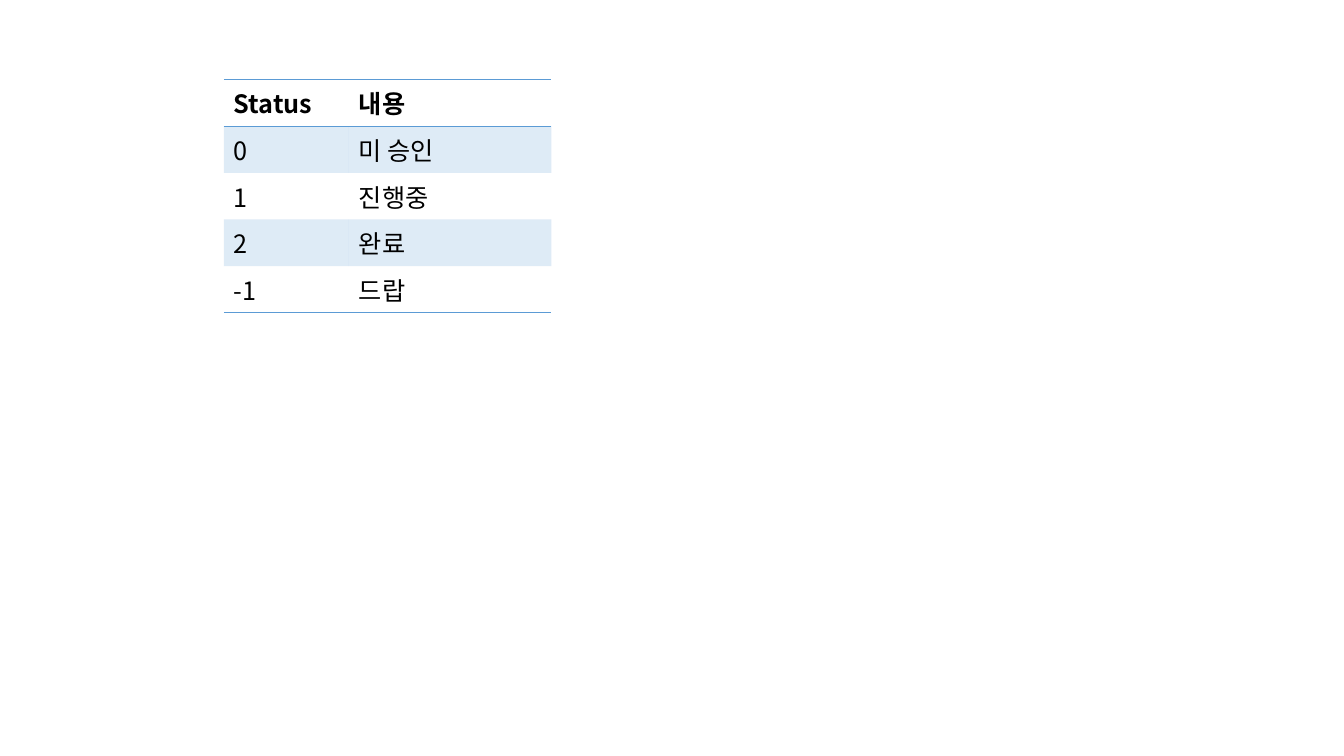
from dataclasses import dataclass

from lxml import etree
from pptx import Presentation
from pptx import util as u
from pptx.dml.color import RGBColor
from pptx.oxml import ns
from pptx.table import Table, _Cell

PX = 9144  # EMU per px, 100 px to the inch


@dataclass(frozen=True)
class Theme:
    font: str = "Noto Sans CJK KR"
    size: int = 18
    ink: str = "000000"
    accent: str = "5B9BD5"
    band_alpha: int = 20  # percent
    rule_pt: int = 1
    plain_table: str = "{2D5ABB26-0587-4C30-8999-92F81FD0307C}"


@dataclass(frozen=True)
class StatusRow:
    status: str
    meaning: str
    bold: bool = False
    banded: bool = False
    rules: tuple[str, ...] = ()  # sides that carry a line


THEME = Theme()
LEFT, TOP, ROW_HEIGHT = 222, 79, 41
COLUMN_WIDTHS = (124, 201)
STATUS_ROWS = (
    StatusRow("Status", "내용", bold=True, rules=("lnT", "lnB")),
    StatusRow("0", "미 승인", banded=True),
    StatusRow("1", "진행중"),
    StatusRow("2", "완료", banded=True),
    StatusRow("-1", "드랍", rules=("lnB",)),
)


def px(length: int) -> u.Emu:
    return u.Emu(length * PX)


def add_rule(cell: _Cell, side: str) -> None:
    properties = cell._tc.get_or_add_tcPr()
    rule = etree.SubElement(properties, ns.qn(f"a:{side}"), w=str(u.Pt(THEME.rule_pt)))
    fill = etree.SubElement(rule, ns.qn("a:solidFill"))
    etree.SubElement(fill, ns.qn("a:srgbClr"), val=THEME.accent)


def fill_cell(cell: _Cell, banded: bool) -> None:
    if not banded:
        cell.fill.background()
        return
    cell.fill.solid()
    cell.fill.fore_color.rgb = RGBColor.from_string(THEME.accent)
    colour = cell._tc.tcPr.find(f".//{ns.qn('a:srgbClr')}")
    etree.SubElement(colour, ns.qn("a:alpha"), val=str(THEME.band_alpha * 1000))


def write_cell(cell: _Cell, wording: str, bold: bool) -> None:
    run = cell.text_frame.paragraphs[0].add_run()
    run.text = wording
    font_format = {"name": THEME.font, "size": u.Pt(THEME.size), "bold": bold}
    for attribute, value in font_format.items():
        setattr(run.font, attribute, value)
    run.font.color.rgb = RGBColor.from_string(THEME.ink)
    # Hangul takes its face from the East Asian font
    etree.SubElement(run._r.get_or_add_rPr(), ns.qn("a:ea"), typeface=THEME.font)


def draw_row(table: Table, index: int, row: StatusRow) -> None:
    table.rows[index].height = px(ROW_HEIGHT)
    for cell, wording in zip(table.rows[index].cells, (row.status, row.meaning)):
        for side in row.rules:
            add_rule(cell, side)
        fill_cell(cell, row.banded)
        write_cell(cell, wording, row.bold)


def main() -> None:
    deck = Presentation()
    deck.slide_width, deck.slide_height = px(1333), px(750)
    slide = deck.slides.add_slide(deck.slide_layouts[6])

    # Status code table
    status_table = slide.shapes.add_table(
        len(STATUS_ROWS), len(COLUMN_WIDTHS), px(LEFT), px(TOP),
        px(sum(COLUMN_WIDTHS)), px(ROW_HEIGHT * len(STATUS_ROWS)),
    ).table
    status_table._tbl.tblPr.find(ns.qn("a:tableStyleId")).text = THEME.plain_table
    for column, width in zip(status_table.columns, COLUMN_WIDTHS):
        column.width = px(width)
    for index, row in enumerate(STATUS_ROWS):
        draw_row(status_table, index, row)

    deck.save("out.pptx")


if __name__ == "__main__":
    main()
